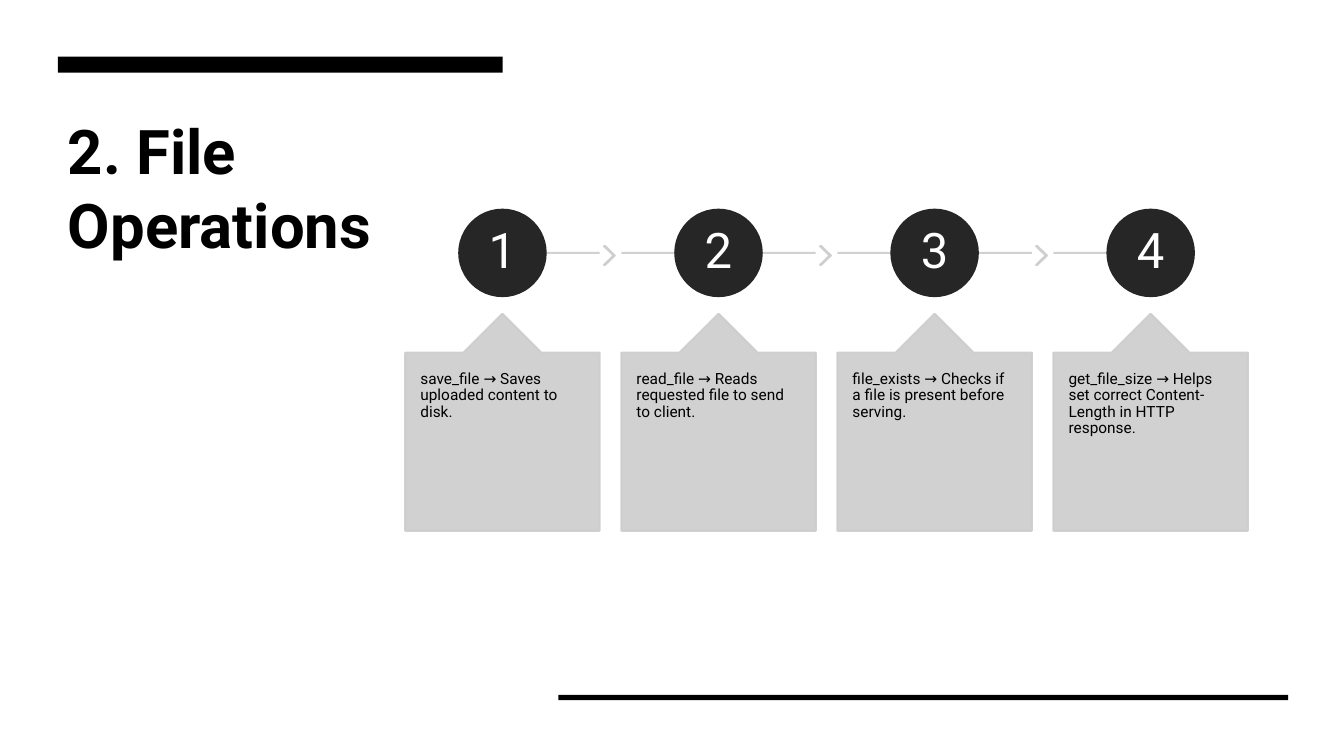
from dataclasses import dataclass

from lxml.etree import SubElement
from pptx import Presentation
from pptx.dml.color import RGBColor
from pptx.enum.shapes import MSO_CONNECTOR as Connector, MSO_SHAPE as Preset
from pptx.enum.text import MSO_ANCHOR as Anchor, MSO_AUTO_SIZE as AutoSize, PP_ALIGN as Align
from pptx.oxml.ns import qn
from pptx.shapes.autoshape import Shape
from pptx.slide import Slide
from pptx.text.text import TextFrame
from pptx.util import Inches, Pt

SLIDE_WIDTH, SLIDE_HEIGHT = Inches(13.33), Inches(7.5)


@dataclass(frozen=True)
class Theme:
    font: str = "Roboto"
    ink: RGBColor = RGBColor(0x00, 0x00, 0x00)
    paper: RGBColor = RGBColor(0xFF, 0xFF, 0xFF)
    badge: RGBColor = RGBColor(0x26, 0x26, 0x26)
    panel: RGBColor = RGBColor(0xCD, 0xCD, 0xCD)
    panel_opacity: int = 90
    outline: float = 1.5
    title_size: int = 44
    number_size: int = 35
    body_size: int = 11
    line_spacing: float = 0.9


@dataclass(frozen=True)
class Box:
    left: int
    top: int
    width: int
    height: int

    def args(self) -> tuple[int, int, int, int]:
        return self.left, self.top, self.width, self.height


@dataclass(frozen=True)
class Operation:
    function: str
    purpose: str


THEME = Theme()
OPERATIONS = [
    Operation("save_file", "Saves uploaded content to disk."),
    Operation("read_file", "Reads requested file to send to client."),
    Operation("file_exists", "Checks if a file is present before serving."),
    Operation("get_file_size", "Helps set correct Content-Length in HTTP response."),
]


def across(percent: float) -> int:
    return round(SLIDE_WIDTH * percent / 100)


def down(percent: float) -> int:
    return round(SLIDE_HEIGHT * percent / 100)


def share_box(left: float, top: float, width: float, height: float) -> Box:
    """Box given in percent of the slide's width and height."""
    return Box(across(left), down(top), across(width), down(height))


# Each step fills a grid column; its card takes 0.9 of it, the gap the rest.
CARD_SHARE = 0.9
FLOW_LEFT, FLOW_RIGHT = across(30.15), across(92.85)
COLUMN = round((FLOW_RIGHT - FLOW_LEFT) / (len(OPERATIONS) - 1 + CARD_SHARE))
RAIL_Y = down(33.45)


def column_x(position: float) -> int:
    return FLOW_LEFT + round(position * COLUMN)


def make_translucent(properties) -> None:
    for color in properties.iter(qn("a:srgbClr")):
        SubElement(color, qn("a:alpha")).set("val", str(THEME.panel_opacity * 1000))


def add_figure(slide: Slide, preset: Preset, box: Box, color: RGBColor,
               outlined: bool = True) -> Shape:
    figure = slide.shapes.add_shape(preset, *box.args())
    figure.shadow.inherit = False
    figure.fill.solid()
    figure.fill.fore_color.rgb = color
    if outlined:
        figure.line.color.rgb = color
        figure.line.width = Pt(THEME.outline)
    else:
        figure.line.fill.background()
    return figure


def write(frame: TextFrame, text: str, size: int, color: RGBColor, align: Align,
          anchor: Anchor, bold: bool = False, spacing: float = THEME.line_spacing) -> None:
    frame.text = text
    frame.word_wrap = True
    frame.vertical_anchor = anchor
    paragraph = frame.paragraphs[0]
    paragraph.alignment = align
    paragraph.line_spacing = spacing
    font = paragraph.runs[0].font
    font.name, font.size, font.bold = THEME.font, Pt(size), bold
    font.color.rgb = color


def set_insets(frame: TextFrame, horizontal: float, vertical: float) -> None:
    frame.margin_left = frame.margin_right = Inches(horizontal)
    frame.margin_top = frame.margin_bottom = Inches(vertical)


def add_title(slide: Slide, text: str) -> None:
    title = slide.shapes.title
    title.left, title.top, title.width, title.height = share_box(4.3, 14.3, 33.1, 49.1).args()
    write(title.text_frame, text, THEME.title_size, THEME.ink, Align.LEFT, Anchor.TOP,
          bold=True, spacing=1.0)
    title.text_frame.auto_size = AutoSize.NONE


def add_rail(slide: Slide, start: float, end: float) -> None:
    """Line along the step numbers, between two column positions."""
    rail = slide.shapes.add_connector(Connector.STRAIGHT, column_x(start), RAIL_Y,
                                      column_x(end), RAIL_Y)
    rail.line.color.rgb = THEME.panel
    rail.line.width = Pt(THEME.outline)
    properties = rail.element.spPr
    make_translucent(properties)
    SubElement(properties, qn("a:effectLst"))


def add_chevron(slide: Slide, column: int) -> None:
    box = Box(column_x(column + 0.92), down(32.55), round(COLUMN * 0.05), down(2.5))
    chevron = add_figure(slide, Preset.CHEVRON, box, THEME.panel)
    chevron.adjustments[0] = 0.9
    make_translucent(chevron.element.spPr)


def add_badge(slide: Slide, column: int) -> None:
    diameter = round(COLUMN * 0.4)
    center = column_x(column + CARD_SHARE / 2)
    box = Box(center - diameter // 2, RAIL_Y - diameter // 2, diameter, diameter)
    badge = add_figure(slide, Preset.OVAL, box, THEME.badge)
    set_insets(badge.text_frame, 0.03, 0.03)
    write(badge.text_frame, str(column + 1), THEME.number_size, THEME.paper,
          Align.CENTER, Anchor.MIDDLE)


def add_card(slide: Slide, column: int, operation: Operation) -> None:
    box = Box(column_x(column), down(41.5), round(COLUMN * CARD_SHARE), down(28.7))
    card = add_figure(slide, Preset.UP_ARROW_CALLOUT, box, THEME.panel)
    for index, value in enumerate((0.5, 0.2, 0.2, 1)):
        card.adjustments[index] = value
    make_translucent(card.element.spPr)
    set_insets(card.text_frame, 0.15, 0.18)
    write(card.text_frame, f"{operation.function} → {operation.purpose}", THEME.body_size,
          THEME.ink, Align.LEFT, Anchor.TOP)


def add_step(slide: Slide, column: int, operation: Operation) -> None:
    is_first, is_last = column == 0, column == len(OPERATIONS) - 1
    middle = column + CARD_SHARE / 2
    add_rail(slide, middle if is_first else column, middle if is_last else column + CARD_SHARE)
    if not is_last:
        add_chevron(slide, column)
    add_badge(slide, column)
    add_card(slide, column, operation)


def main() -> None:
    deck = Presentation()
    deck.slide_width, deck.slide_height = SLIDE_WIDTH, SLIDE_HEIGHT
    slide = deck.slides.add_slide(deck.slide_layouts[5])
    add_title(slide, "2. File Operations")
    for bar in (share_box(4.3, 7.5, 33.1, 2.1), share_box(41.55, 91.9, 54.3, 0.7)):
        add_figure(slide, Preset.RECTANGLE, bar, THEME.ink, outlined=False)
    for column, operation in enumerate(OPERATIONS):
        add_step(slide, column, operation)
    deck.save("out.pptx")


if __name__ == "__main__":
    main()
